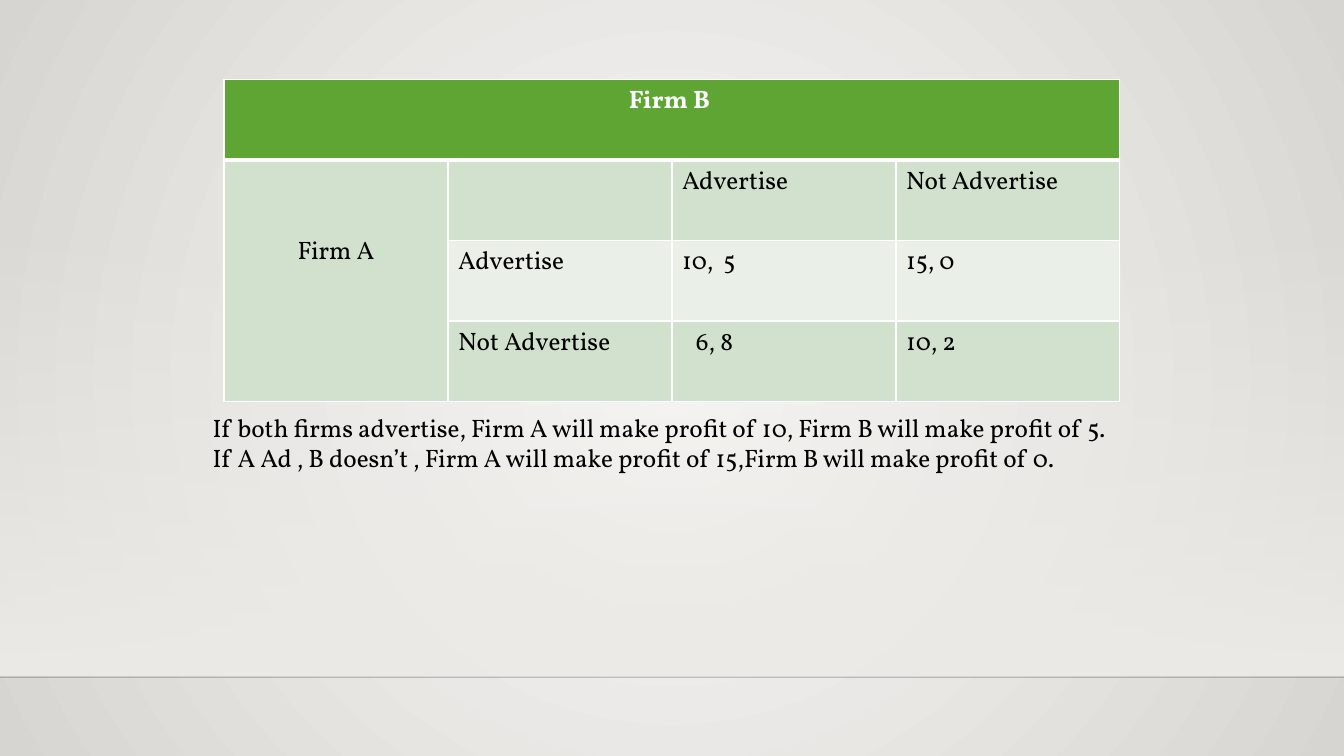
"""Build the advertising payoff matrix slide for Firm A and Firm B."""
from lxml import etree
from pptx import Presentation
from pptx.dml.color import RGBColor
from pptx.enum.shapes import MSO_CONNECTOR as CONN, MSO_SHAPE as SHAPE
from pptx.enum.text import MSO_AUTO_SIZE as FIT, PP_ALIGN as AL
from pptx.oxml import parse_xml
from pptx.oxml.ns import nsdecls, qn
from pptx.util import Pt


def rgb(color):
    return RGBColor.from_string(color)


def gradient(stops, direction):
    gs = "".join(
        f'<a:gs pos="{pos * 1000}"><a:srgbClr val="{color}">'
        f'<a:alpha val="{alpha * 1000}"/></a:srgbClr></a:gs>'
        for pos, color, alpha in stops
    )
    return parse_xml(
        f'<a:gradFill {nsdecls("a")} rotWithShape="1">'
        f"<a:gsLst>{gs}</a:gsLst>{direction}</a:gradFill>"
    )


FONT = "Vollkorn"
W, H = 960, 540

prs = Presentation()
prs.slide_width, prs.slide_height = Pt(W), Pt(H)
s = prs.slides.add_slide(prs.slide_layouts[6])

s.background.fill.gradient()
old = s.background._cSld.find(".//" + qn("a:gradFill"))
circle = '<a:path path="circle"><a:fillToRect l="50000" t="50000" r="50000" b="50000"/></a:path>'
old.getparent().replace(old, gradient([(0, "FAFAF9", 100), (100, "D7D5D2", 100)], circle))

wall = s.shapes.add_shape(SHAPE.RECTANGLE, 0, Pt(158.4), Pt(W), Pt(324))
wall.shadow.inherit = False
wall.line.fill.background()
wall.fill.gradient()
old = wall._element.spPr.find(qn("a:gradFill"))
down = '<a:lin ang="5400000" scaled="0"/>'
old.getparent().replace(old, gradient([(0, "EDEBE7", 0), (100, "EDEBE7", 100)], down))

floor = s.shapes.add_connector(CONN.STRAIGHT, 0, Pt(483.8), Pt(W), Pt(483.8))
floor.line.width = Pt(1)
floor.line.color.rgb = rgb("000001")
color = floor._element.spPr.find(".//" + qn("a:srgbClr"))
etree.SubElement(color, qn("a:alpha"), val="20000")
etree.SubElement(floor._element.spPr, qn("a:effectLst"))

rows = [
    ["Firm B ", "", "", ""],
    ["Firm A", "", "Advertise", "Not Advertise"],
    ["", "Advertise", "10,  5", "15, 0"],
    ["", "Not Advertise", "6, 8", "10, 2"],
]
fills = ["5FA534", "D2E1CE", "EAF0E8", "D2E1CE"]
table = s.shapes.add_table(4, 4, Pt(160), Pt(56.9), Pt(640), Pt(230)).table
for i, row in enumerate(rows):
    table.rows[i].height = Pt(57.5)
    for j, text in enumerate(row):
        cell = table.cell(i, j)
        tcPr = cell._tc.get_or_add_tcPr()
        for side in "LRTB":
            width = 3 if (i, side) in [(0, "B"), (1, "T")] else 1
            ln = etree.SubElement(tcPr, qn(f"a:ln{side}"), w=str(Pt(width)))
            fill = etree.SubElement(ln, qn("a:solidFill"))
            etree.SubElement(fill, qn("a:srgbClr"), val="FFFFFF")
        cell.fill.solid()
        cell.fill.fore_color.rgb = rgb("D2E1CE" if i and j == 0 else fills[i])
        cell.text_frame.text = text
        p = cell.text_frame.paragraphs[0]
        p.alignment = AL.CENTER if j == 0 else AL.LEFT
        p.font.size = Pt(18)
        for r in p.runs:
            r.font.name, r.font.size, r.font.bold = FONT, Pt(18), i == 0
            r.font.color.rgb = rgb("000000" if i else "FFFFFF")

table.cell(0, 0).merge(table.cell(0, 3))
table.cell(1, 0).merge(table.cell(3, 0))
table.cell(1, 0).margin_top = Pt(53.6)
table.cell(3, 2).margin_left = Pt(17.2)

tf = s.shapes.add_textbox(Pt(144.7), Pt(290.9), Pt(671), Pt(72.7)).text_frame
tf.word_wrap = False
tf.auto_size = FIT.SHAPE_TO_FIT_TEXT
tf.text = (
    "If both firms advertise, Firm A will make profit of 10, Firm B will make profit of 5.\n"
    "If A Ad , B doesn’t , Firm A will make profit of 15,Firm B will make profit of 0."
)
for p in tf.paragraphs:
    for r in p.runs:
        r.font.name, r.font.size = FONT, Pt(18)
        r.font.color.rgb = rgb("000000")

prs.save("out.pptx")
